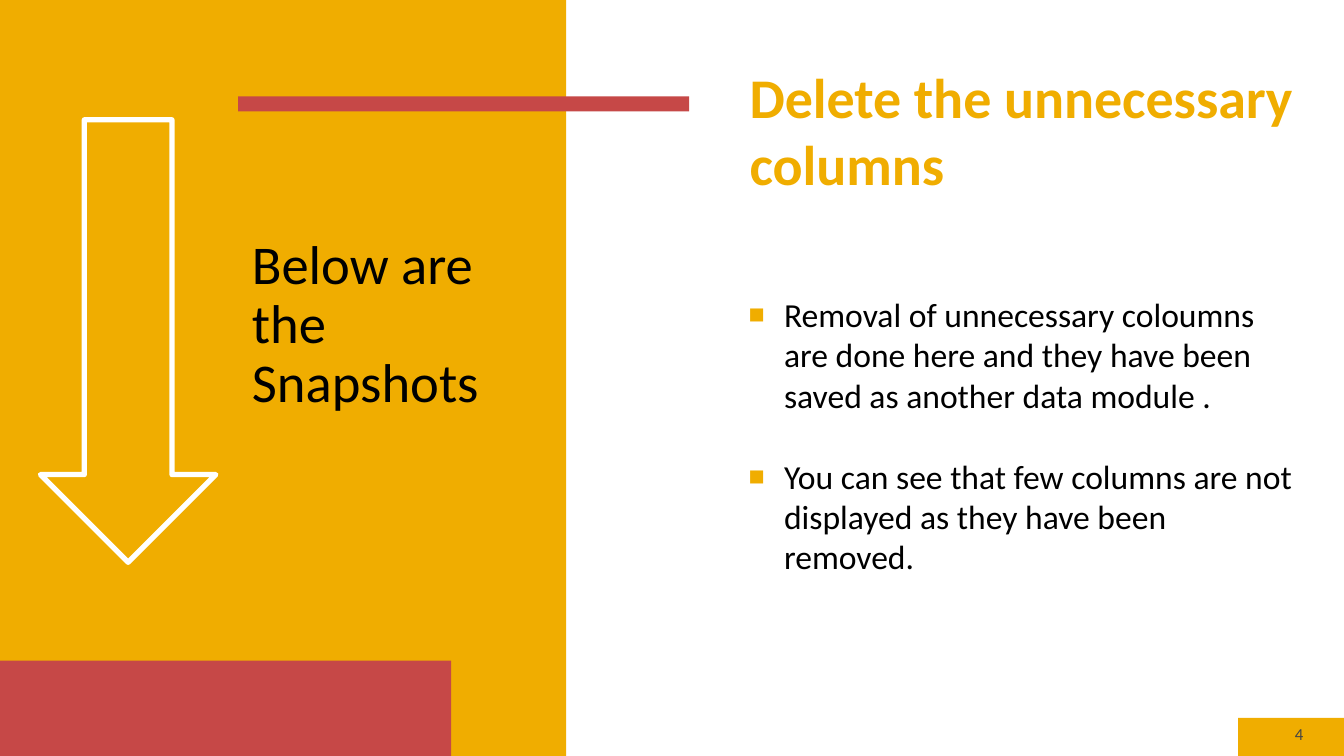
import pptx
import pptx.util
import pptx.dml.color
import pptx.enum.shapes
import pptx.enum.text
import pptx.oxml
import pptx.oxml.ns

Cm = pptx.util.Cm
Pt = pptx.util.Pt
SHAPE = pptx.enum.shapes.MSO_SHAPE
ANCHOR = pptx.enum.text.MSO_ANCHOR
ALIGN = pptx.enum.text.PP_ALIGN

COLOURS = {"gold": "F0AD00", "red": "C64847", "white": "FFFFFF", "black": "000000", "grey": "454545"}
FONT = "Calibri"

TITLE = "Delete the unnecessary columns"
CAPTION = "Below are the Snapshots"
PAGE_NUMBER = "4"
POINTS = [
    "Removal of unnecessary coloumns are done here and they have been saved as another data module .",
    "You can see that few columns are not displayed as they have been removed.",
]

WIDTH, HEIGHT = 33.87, 19.05
BAR_WIDTH = 11.37
FOOTER_TOP, BASE_TOP = 18.09, 16.65
FOOTER_LEFT = 31.2
ARROW_TOP, ARROW_HEIGHT = 3.02, 11.15

BLOCKS = [
    ((FOOTER_LEFT, FOOTER_TOP, WIDTH - FOOTER_LEFT, HEIGHT - FOOTER_TOP), "gold"),
    ((0, 0, 14.27, HEIGHT), "gold"),
    ((0, BASE_TOP, BAR_WIDTH, HEIGHT - BASE_TOP), "red"),
    ((6, 2.43, BAR_WIDTH, 0.38), "red"),
]


def colour(name):
    """Return the named colour."""
    return pptx.dml.color.RGBColor.from_string(COLOURS[name])


def add_block(slide, kind, box, fill):
    """Add a filled shape without outline or shadow."""
    shape = slide.shapes.add_shape(kind, *map(Cm, box))
    shape.shadow.inherit = False
    shape.fill.solid()
    shape.fill.fore_color.rgb = colour(fill)
    shape.line.fill.background()
    return shape


def add_text(slide, box, lines, size, tint, anchor, insets, bold=False):
    """Add a wrapped text box and return its paragraphs."""
    frame = slide.shapes.add_textbox(*map(Cm, box)).text_frame
    frame.word_wrap = True
    frame.vertical_anchor = anchor
    frame.margin_left, frame.margin_top, frame.margin_right, frame.margin_bottom = map(Cm, insets)
    frame.text = "\n".join(lines)
    for paragraph in frame.paragraphs:
        font = paragraph.font
        font.name, font.size, font.bold = FONT, Pt(size), bold
        font.color.rgb = colour(tint)
    return frame.paragraphs


def add_bullet(paragraph):
    """Give a paragraph a small gold square bullet and a hanging indent."""
    properties = paragraph._p.get_or_add_pPr()
    properties.set("marL", str(Cm(1.22)))
    properties.set("indent", str(Cm(-0.89)))
    namespace = pptx.oxml.ns.nsdecls("a")
    following = properties.find(pptx.oxml.ns.qn("a:defRPr"))
    for xml in (
        f'<a:buClr {namespace}><a:srgbClr val="{COLOURS["gold"]}"/></a:buClr>',
        f'<a:buSzPct {namespace} val="80000"/>',
        f'<a:buFont {namespace} typeface="Arial"/>',
        f'<a:buChar {namespace} char="■"/>',
    ):
        element = pptx.oxml.parse_xml(xml)
        if following is None:
            properties.append(element)
        else:
            following.addprevious(element)


def main():
    """Build the slide and save it."""
    presentation = pptx.Presentation()
    presentation.slide_width, presentation.slide_height = Cm(WIDTH), Cm(HEIGHT)
    slide = presentation.slides.add_slide(presentation.slide_layouts[6])

    for box, fill in BLOCKS:
        add_block(slide, SHAPE.RECTANGLE, box, fill)

    add_text(slide, (18.64, 0.76, 14.66, 4.32), [TITLE], 40, "gold",
             ANCHOR.BOTTOM, (0.25, 0.13, 0.13, 0.13), bold=True)

    points = add_text(slide, (18.39, 7.16, 14.66, 8.23), POINTS, 24, "black",
                      ANCHOR.TOP, (0.15, 0.25, 0.25, 0.13))
    for paragraph in points:
        add_bullet(paragraph)
    for paragraph in points[1:]:
        paragraph.space_before = Pt(29)

    arrow = add_block(slide, SHAPE.DOWN_ARROW, (1.02, ARROW_TOP, 4.42, ARROW_HEIGHT), "gold")
    arrow.line.color.rgb = colour("white")
    arrow.line.width = Pt(3.78)

    caption = add_text(slide, (5.59, ARROW_TOP, 7.52, ARROW_HEIGHT), [CAPTION], 39, "black",
                       ANCHOR.MIDDLE, (0.76, 0, 0.76, 0.76))
    caption[0].line_spacing = 0.9

    number = add_text(slide, (30.38, 17.98, 2.72, 0.76), [PAGE_NUMBER], 12, "grey",
                      ANCHOR.BOTTOM, (0.25, 0.13, 0.25, 0))
    number[0].alignment = ALIGN.RIGHT

    presentation.save("out.pptx")


if __name__ == "__main__":
    main()
